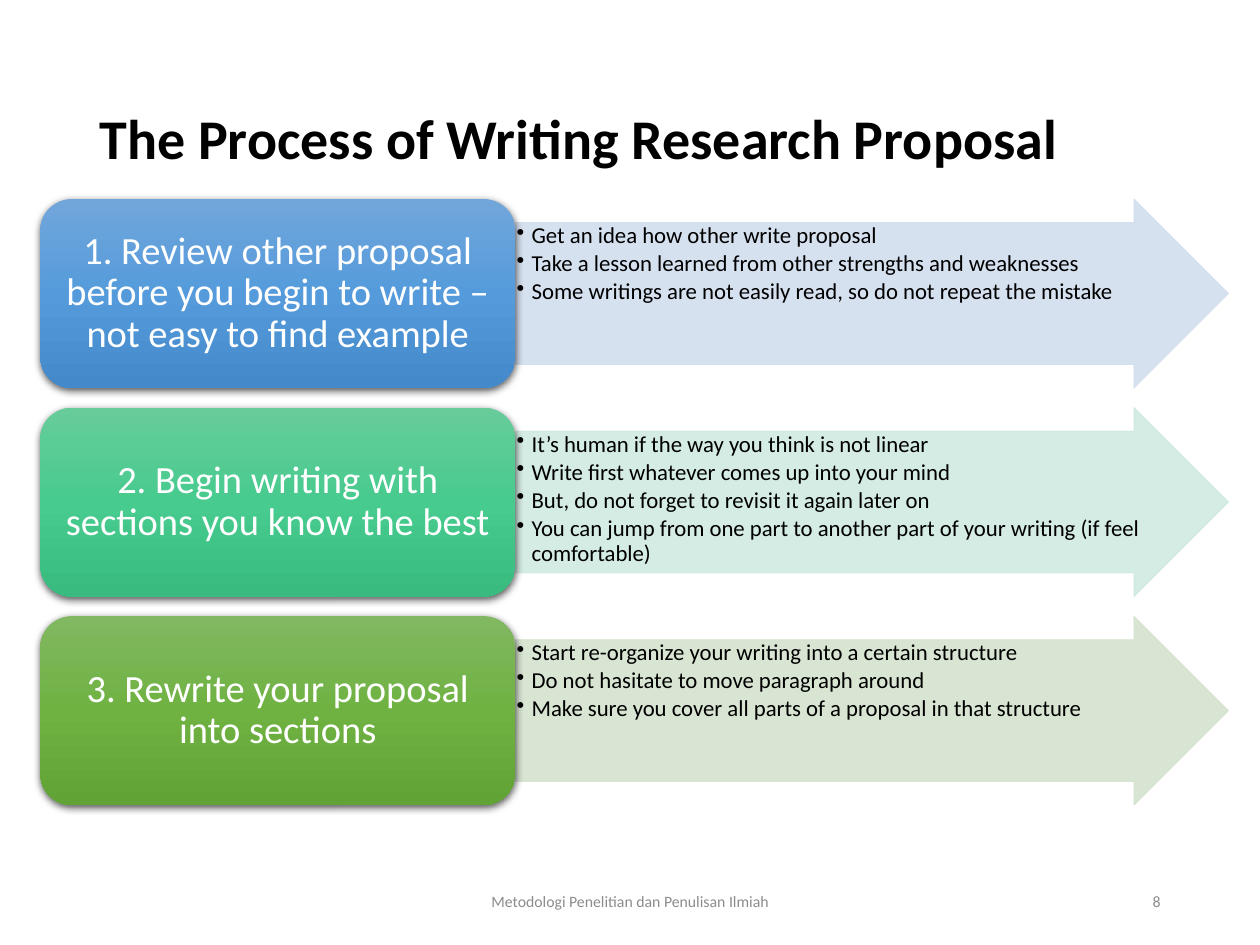
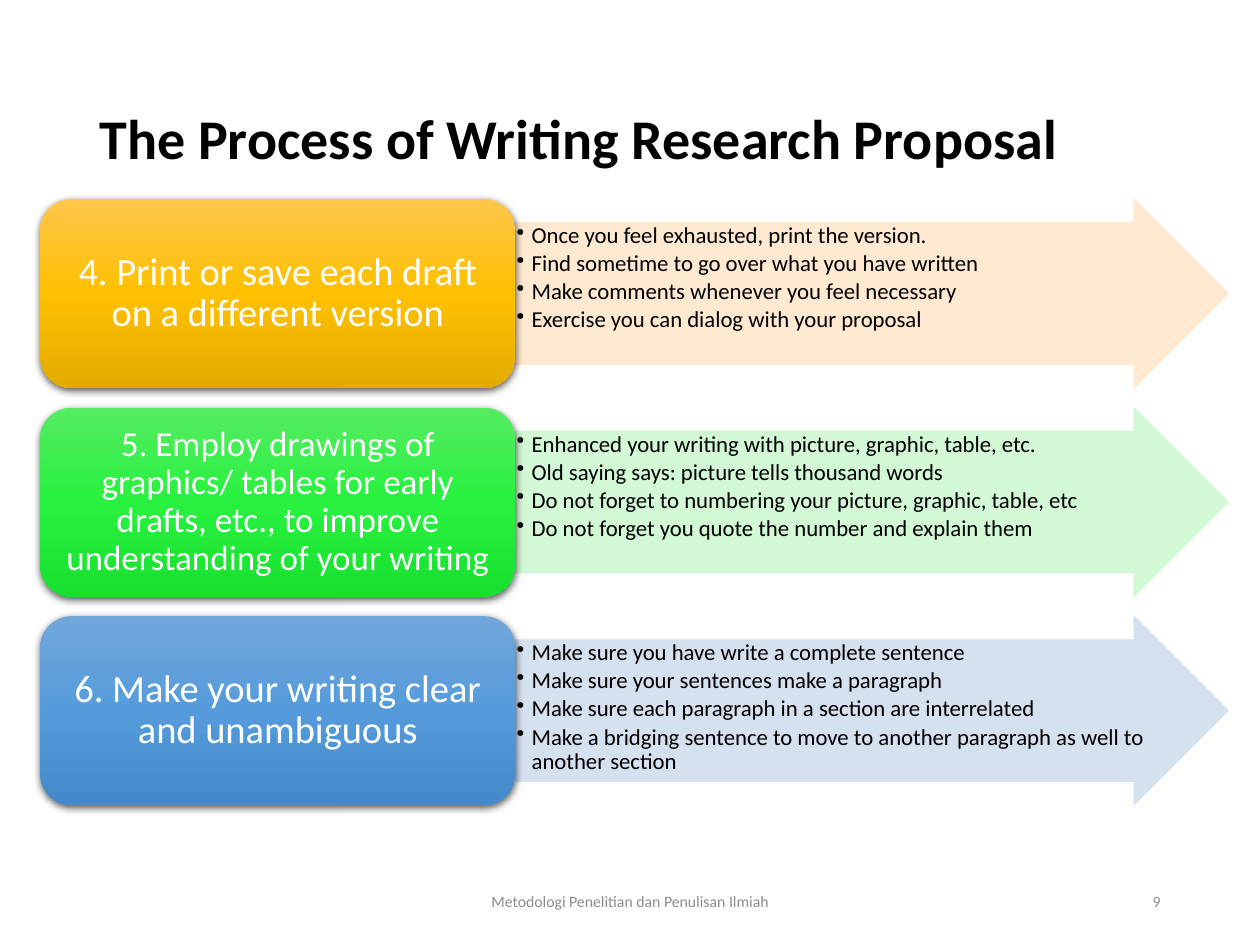
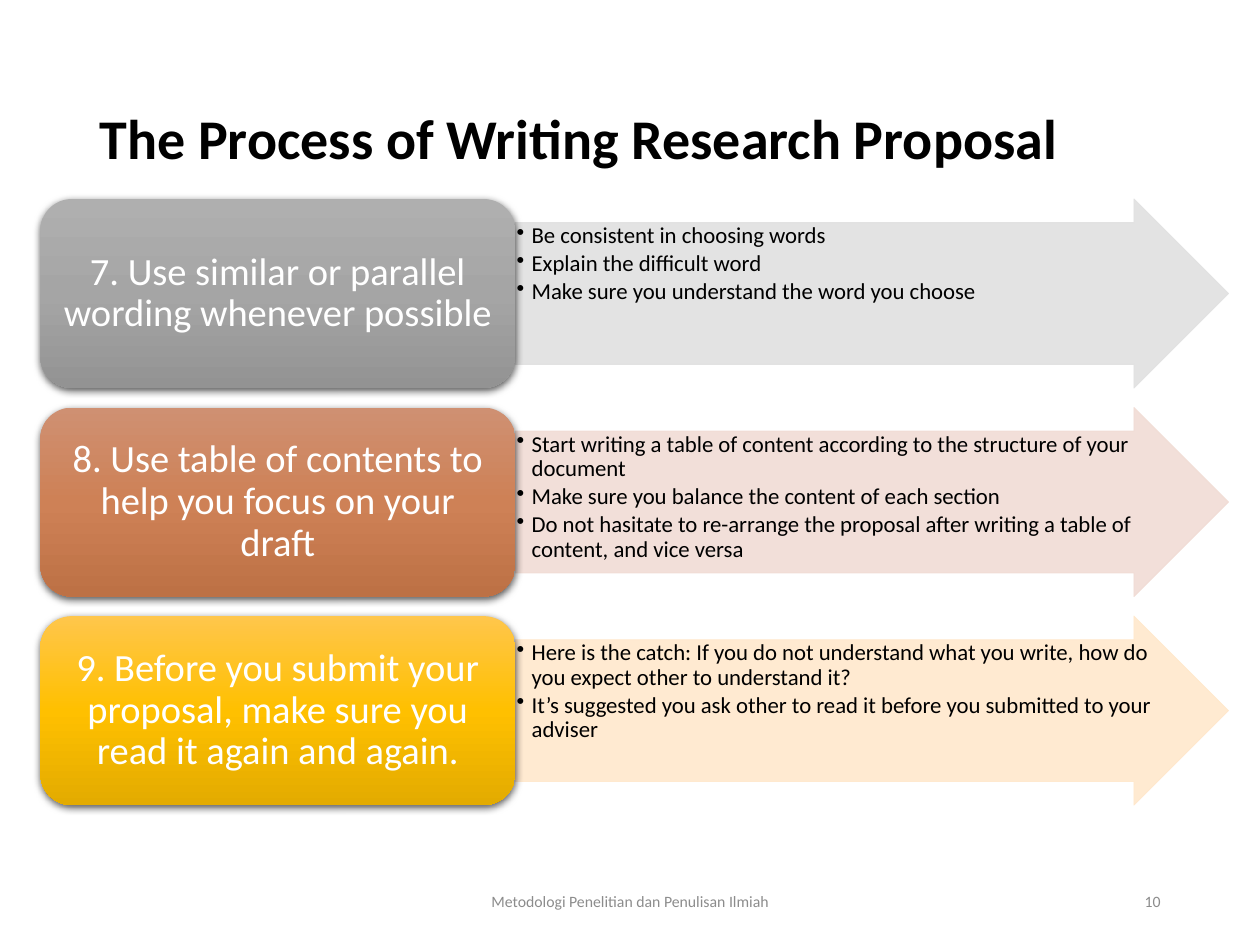
import pptx
import pptx.dml.color
import pptx.enum.shapes
import pptx.enum.text
import pptx.oxml
import pptx.oxml.ns
import pptx.util
from lxml import etree

Inches = pptx.util.Inches
Pt = pptx.util.Pt
RGBColor = pptx.dml.color.RGBColor
MSO_SHAPE = pptx.enum.shapes.MSO_SHAPE
PP_ALIGN = pptx.enum.text.PP_ALIGN
MSO_ANCHOR = pptx.enum.text.MSO_ANCHOR
qn = pptx.oxml.ns.qn

FONT = "Calibri"
TITLE = "The Process of Writing Research Proposal"
FOOTER = "Metodologi Penelitian dan Penulisan Ilmiah"
FIRST_PAGE = 8

BLACK = RGBColor(0x00, 0x00, 0x00)
WHITE = RGBColor(0xFF, 0xFF, 0xFF)
GRAY = RGBColor(0x8C, 0x8C, 0x8C)

# Each palette: the three gradient colours of the step, then the arrow colour
BLUE = [RGBColor(0x71, 0xA6, 0xDB), RGBColor(0x55, 0x9B, 0xDB),
        RGBColor(0x44, 0x8A, 0xCA), RGBColor(0xD2, 0xDE, 0xEF)]
TEAL = [RGBColor(0x67, 0xCC, 0x9A), RGBColor(0x47, 0xCB, 0x8E),
        RGBColor(0x39, 0xBB, 0x7F), RGBColor(0xD0, 0xEA, 0xE1)]
GREEN = [RGBColor(0x81, 0xB8, 0x61), RGBColor(0x6F, 0xB2, 0x42),
         RGBColor(0x62, 0xA3, 0x36), RGBColor(0xD5, 0xE3, 0xCF)]
GOLD = [RGBColor(0xFF, 0xC6, 0x4B), RGBColor(0xFF, 0xC0, 0x00),
        RGBColor(0xE3, 0xAB, 0x00), RGBColor(0xFF, 0xE8, 0xCC)]
LIME = [RGBColor(0x56, 0xEC, 0x62), RGBColor(0x27, 0xF1, 0x3E),
        RGBColor(0x18, 0xE0, 0x2F), RGBColor(0xCF, 0xF8, 0xD1)]
SILVER = [RGBColor(0xAF, 0xAF, 0xAF), RGBColor(0xA5, 0xA5, 0xA5),
          RGBColor(0x93, 0x93, 0x93), RGBColor(0xE1, 0xE1, 0xE1)]
COPPER = [RGBColor(0xCF, 0x90, 0x72), RGBColor(0xCE, 0x81, 0x56),
          RGBColor(0xBD, 0x71, 0x45), RGBColor(0xF1, 0xDC, 0xD5)]

STEP_LEFT, STEP_WIDTH = 0.32, 3.77
ARROW_LEFT, ARROW_WIDTH = STEP_LEFT + STEP_WIDTH, 5.66
ROW_HEIGHT = 1.5
FIRST_TOP, LAST_TOP = 1.58, 4.89

# Each row: palette, step text, step text size, points
SLIDES = [
    [
        (BLUE, "1. Review other proposal before you begin to write – "
               "not easy to find example", 22,
         ["Get an idea how other write proposal",
          "Take a lesson learned from other strengths and weaknesses",
          "Some writings are not easily read, so do not repeat the mistake"]),
        (TEAL, "2. Begin writing with sections you know the best", 22,
         ["It’s human if the way you think is not linear",
          "Write first whatever comes up into your mind",
          "But, do not forget to revisit it again later on",
          "You can jump from one part to another part of your writing "
          "(if feel comfortable)"]),
        (GREEN, "3. Rewrite your proposal into sections", 22,
         ["Start re-organize your writing into a certain structure",
          "Do not hasitate to move paragraph around",
          "Make sure you cover all parts of a proposal in that structure"]),
    ],
    [
        (GOLD, "4. Print or save each draft on a different version", 22,
         ["Once you feel exhausted, print the version.",
          "Find sometime to go over what you have written",
          "Make comments whenever you feel necessary",
          "Exercise you can dialog with your proposal"]),
        (LIME, "5. Employ drawings of graphics/ tables for early drafts, etc., "
               "to improve understanding of your writing", 20,
         ["Enhanced your writing with picture, graphic, table, etc.",
          "Old saying says: picture tells thousand words",
          "Do not forget to numbering your picture, graphic, table, etc",
          "Do not forget you quote the number and explain them"]),
        (BLUE, "6. Make your writing clear and unambiguous", 22,
         ["Make sure you have write a complete sentence",
          "Make sure your sentences make a paragraph",
          "Make sure each paragraph in a section are interrelated",
          "Make a bridging sentence to move to another paragraph as well "
          "to another section"]),
    ],
    [
        (SILVER, "7. Use similar or parallel wording whenever possible", 22,
         ["Be consistent in choosing words",
          "Explain the difficult word",
          "Make sure you understand the word you choose"]),
        (COPPER, "8. Use table of contents to help you focus on your draft", 22,
         ["Start writing a table of content according to the structure of "
          "your document",
          "Make sure you balance the content of each section",
          "Do not hasitate to re-arrange the proposal after writing a table "
          "of content, and vice versa"]),
        (GOLD, "9. Before you submit your proposal, make sure you read it "
               "again and again.", 22,
         ["Here is the catch: If you do not understand what you write, how do "
          "you expect other to understand it?",
          "It’s suggested you ask other to read it before you submitted to "
          "your adviser"]),
    ],
]


def format_paragraph(p, size, color, align=PP_ALIGN.LEFT, bold=False):
    p.alignment = align
    p.line_spacing = 0.9
    for r in p.runs:
        r.font.name = FONT
        r.font.size = Pt(size)
        r.font.bold = bold
        r.font.color.rgb = color


def set_frame(tf, anchor, side, edge):
    """Wrap the text and set its anchor, side insets and top/bottom insets."""
    tf.word_wrap = True
    tf.vertical_anchor = anchor
    tf.margin_left = tf.margin_right = Inches(side)
    tf.margin_top = tf.margin_bottom = Inches(edge)


def add_alpha(fill_element, percent):
    color = fill_element.find(".//" + qn("a:srgbClr"))
    etree.SubElement(color, qn("a:alpha"), val=str(percent * 1000))


def set_gradient(sp, colors):
    """Fill from top to bottom with evenly spaced colours."""
    sp.fill.gradient()
    sp.fill.gradient_angle = 270
    stops = sp._element.spPr.find(".//" + qn("a:gsLst"))
    for stop in list(stops):
        stops.remove(stop)
    for i, color in enumerate(colors):
        pos = 100000 * i // (len(colors) - 1)
        stop = etree.SubElement(stops, qn("a:gs"), pos=str(pos))
        etree.SubElement(stop, qn("a:srgbClr"), val=str(color))


def add_shadow(sp):
    sp.shadow.inherit = False
    effects = sp._element.spPr.find(qn("a:effectLst"))
    shadow = etree.SubElement(
        effects, qn("a:outerShdw"), blurRad=str(Pt(4.5)), dist=str(Pt(1.5)),
        dir="5400000", algn="ctr", rotWithShape="0")
    etree.SubElement(shadow, qn("a:srgbClr"), val=str(BLACK))
    add_alpha(shadow, 63)


def add_bullet(p):
    pPr = p._p.get_or_add_pPr()
    pPr.set("marL", str(Inches(0.12)))
    pPr.set("indent", str(Inches(-0.12)))
    etree.SubElement(pPr, qn("a:buChar"), char="•")


def add_step(slide, top, text, size, colors):
    sp = slide.shapes.add_shape(
        MSO_SHAPE.ROUNDED_RECTANGLE, Inches(STEP_LEFT), Inches(top),
        Inches(STEP_WIDTH), Inches(ROW_HEIGHT))
    set_gradient(sp, colors)
    sp.line.fill.background()
    add_shadow(sp)
    tf = sp.text_frame
    set_frame(tf, MSO_ANCHOR.MIDDLE, size / 250, size / 500)
    tf.text = text
    format_paragraph(tf.paragraphs[0], size, WHITE, PP_ALIGN.CENTER)


def add_points_arrow(slide, top, points, color):
    sp = slide.shapes.add_shape(
        MSO_SHAPE.RIGHT_ARROW, Inches(ARROW_LEFT), Inches(top),
        Inches(ARROW_WIDTH), Inches(ROW_HEIGHT))
    sp.adjustments[0], sp.adjustments[1] = 0.75, 0.5
    sp.shadow.inherit = False
    for fill in (sp.fill, sp.line.fill):
        fill.solid()
        fill.fore_color.rgb = color
    sp.line.width = Pt(0.5)
    spPr = sp._element.spPr
    add_alpha(spPr.find(qn("a:solidFill")), 90)
    add_alpha(spPr.find(qn("a:ln")), 90)
    tf = sp.text_frame
    set_frame(tf, MSO_ANCHOR.TOP, 0.01, 0.01)
    for i, point in enumerate(points):
        p = tf.paragraphs[0] if i == 0 else tf.add_paragraph()
        p.text = point
        add_bullet(p)
        format_paragraph(p, 13, BLACK)
        p.space_after = Pt(2)


def add_title(slide):
    title = slide.shapes.title
    title.left, title.top = Inches(0.69), Inches(0.4)
    title.width, title.height = Inches(8.62), Inches(1.45)
    tf = title.text_frame
    set_frame(tf, MSO_ANCHOR.MIDDLE, 0.1, 0.05)
    tf.text = TITLE
    format_paragraph(tf.paragraphs[0], 32, BLACK, bold=True)


def add_footer_text(slide, left, width, text, align):
    box = slide.shapes.add_textbox(
        Inches(left), Inches(6.95), Inches(width), Inches(0.4))
    tf = box.text_frame
    set_frame(tf, MSO_ANCHOR.MIDDLE, 0.1, 0.05)
    tf.text = text
    format_paragraph(tf.paragraphs[0], 9, GRAY, align)
    tf.paragraphs[0].line_spacing = 1.0


def add_process_slide(prs, page, rows):
    slide = prs.slides.add_slide(prs.slide_layouts.get_by_name("Title Only"))
    add_title(slide)
    add_footer_text(slide, 3.31, 3.38, FOOTER, PP_ALIGN.CENTER)
    add_footer_text(slide, 7.06, 2.25, str(page), PP_ALIGN.RIGHT)
    pitch = (LAST_TOP - FIRST_TOP) / (len(rows) - 1)
    for i, (palette, step, size, points) in enumerate(rows):
        top = FIRST_TOP + i * pitch
        *step_colors, arrow_color = palette
        add_points_arrow(slide, top, points, arrow_color)
        add_step(slide, top, step, size, step_colors)


def main():
    prs = pptx.Presentation()
    prs.slide_width, prs.slide_height = Inches(10), Inches(7.5)
    for page, rows in enumerate(SLIDES, FIRST_PAGE):
        add_process_slide(prs, page, rows)
    prs.save("out.pptx")


if __name__ == "__main__":
    main()
